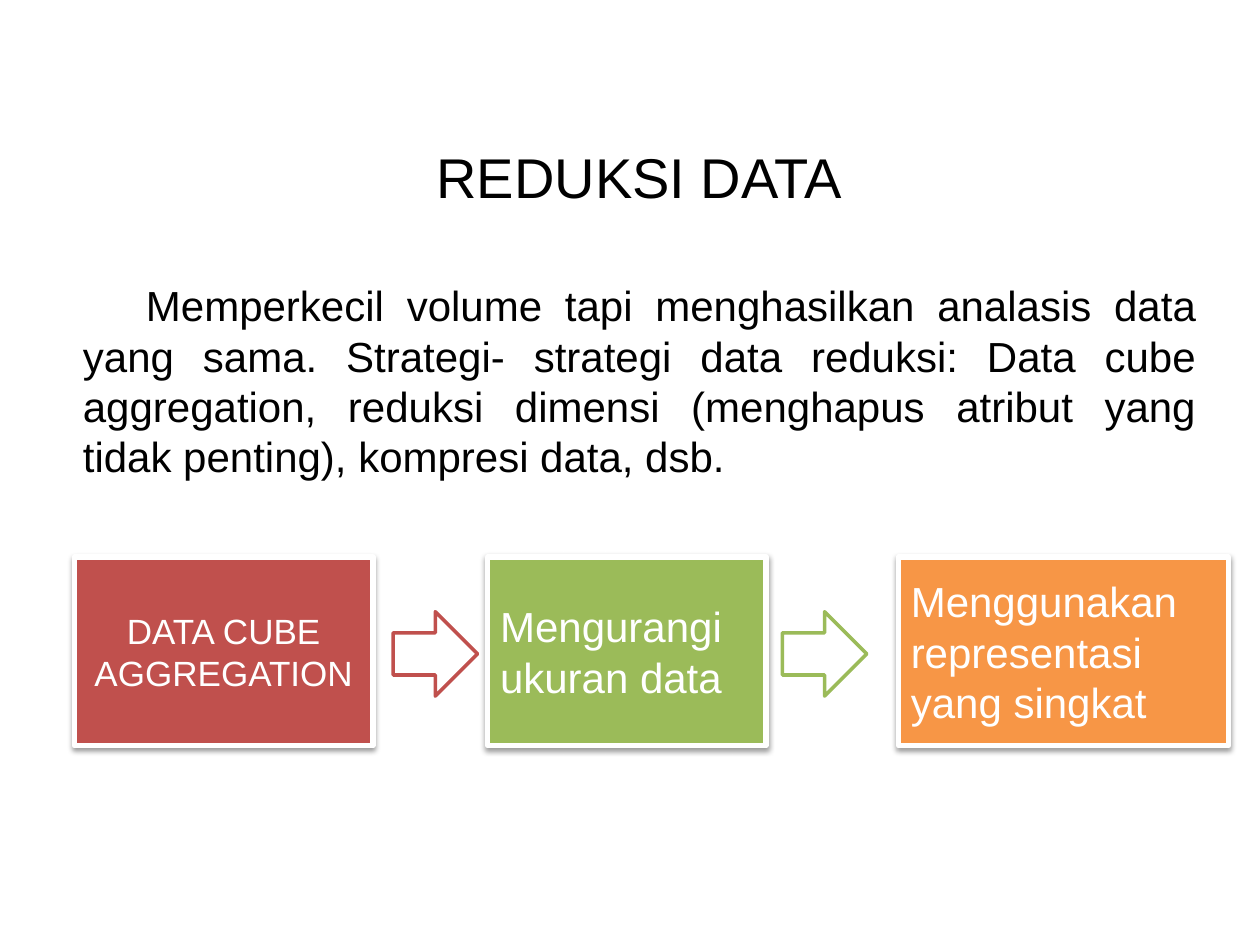
from lxml import etree
from pptx import Presentation
from pptx.dml.color import RGBColor
from pptx.enum.shapes import MSO_SHAPE
from pptx.enum.text import MSO_ANCHOR, PP_ALIGN
from pptx.oxml.ns import qn
from pptx.util import Inches, Pt

CENTER, JUSTIFY = PP_ALIGN.CENTER, PP_ALIGN.JUSTIFY
TOP, MIDDLE = MSO_ANCHOR.TOP, MSO_ANCHOR.MIDDLE
RECTANGLE, RIGHT_ARROW = MSO_SHAPE.RECTANGLE, MSO_SHAPE.RIGHT_ARROW

BLACK = RGBColor(0x00, 0x00, 0x00)
WHITE = RGBColor(0xFF, 0xFF, 0xFF)
RED = RGBColor(0xC0, 0x50, 0x4D)
GREEN = RGBColor(0x9B, 0xBB, 0x59)
ORANGE = RGBColor(0xF7, 0x96, 0x46)

FONT = "Arial"
SLIDE_WIDTH, SLIDE_HEIGHT = 10, 7.5
TEXT_LEFT, TEXT_WIDTH = 0.56, 9.03
STEP_TOP, STEP_HEIGHT = 4.42, 1.5
ARROW_SIZE = 0.67

# Left, width, fill, text size, alignment, text
STEPS = [
    (0.59, 2.37, RED, 20, CENTER, "DATA CUBE AGGREGATION"),
    (3.87, 2.21, GREEN, 24, JUSTIFY, "Mengurangi ukuran data"),
    (7.13, 2.62, ORANGE, 24, JUSTIFY, "Menggunakan representasi yang singkat"),
]
# Left, outline
ARROWS = [(3.12, RED), (6.21, GREEN)]

BODY = (
    "\tMemperkecil volume tapi menghasilkan analasis data yang sama. "
    "Strategi- strategi data reduksi: Data cube aggregation, reduksi dimensi "
    "(menghapus atribut yang tidak penting), kompresi data, dsb."
)


def set_text(shape, text, size, color, align, anchor):
    frame = shape.text_frame
    frame.text = text
    frame.word_wrap = True
    frame.vertical_anchor = anchor
    para = frame.paragraphs[0]
    para.alignment = align
    for span in para.runs:
        span.font.name = FONT
        span.font.size = Pt(size)
        span.font.color.rgb = color


def add_text(page, top, height, text, size, align, anchor):
    box = page.shapes.add_textbox(
        Inches(TEXT_LEFT), Inches(top), Inches(TEXT_WIDTH), Inches(height))
    set_text(box, text, size, BLACK, align, anchor)


def add_block(page, kind, left, top, width, height, fill, line, line_width):
    block = page.shapes.add_shape(
        kind, Inches(left), Inches(top), Inches(width), Inches(height))
    block.fill.solid()
    block.fill.fore_color.rgb = fill
    block.line.color.rgb = line
    block.line.width = Pt(line_width)
    block.shadow.inherit = False
    return block


def add_drop_shadow(shape):
    effects = shape._element.spPr.find(qn("a:effectLst"))
    shadow = etree.SubElement(
        effects, qn("a:outerShdw"), blurRad=str(Pt(3.1)), dist=str(Pt(1.6)),
        dir="5400000", rotWithShape="0")
    color = etree.SubElement(shadow, qn("a:srgbClr"), val=str(BLACK))
    etree.SubElement(color, qn("a:alpha"), val="38000")


def add_step(page, left, width, fill, size, align, text):
    step = add_block(page, RECTANGLE, left, STEP_TOP, width, STEP_HEIGHT,
                     fill, WHITE, 3)
    add_drop_shadow(step)
    set_text(step, text, size, WHITE, align, MIDDLE)


def add_arrow(page, left, color):
    top = STEP_TOP + (STEP_HEIGHT - ARROW_SIZE) / 2 + 0.02
    add_block(page, RIGHT_ARROW, left, top, ARROW_SIZE, ARROW_SIZE,
              WHITE, color, 2)


def main():
    deck = Presentation()
    deck.slide_width = Inches(SLIDE_WIDTH)
    deck.slide_height = Inches(SLIDE_HEIGHT)
    page = deck.slides.add_slide(deck.slide_layouts[6])

    # Title and explanation
    add_text(page, 0.96, 0.87, "REDUKSI DATA", 32, CENTER, MIDDLE)
    add_text(page, 2.17, 1.72, BODY, 24, JUSTIFY, TOP)

    # Process row
    for step in STEPS:
        add_step(page, *step)
    for arrow in ARROWS:
        add_arrow(page, *arrow)

    deck.save("out.pptx")


if __name__ == "__main__":
    main()
